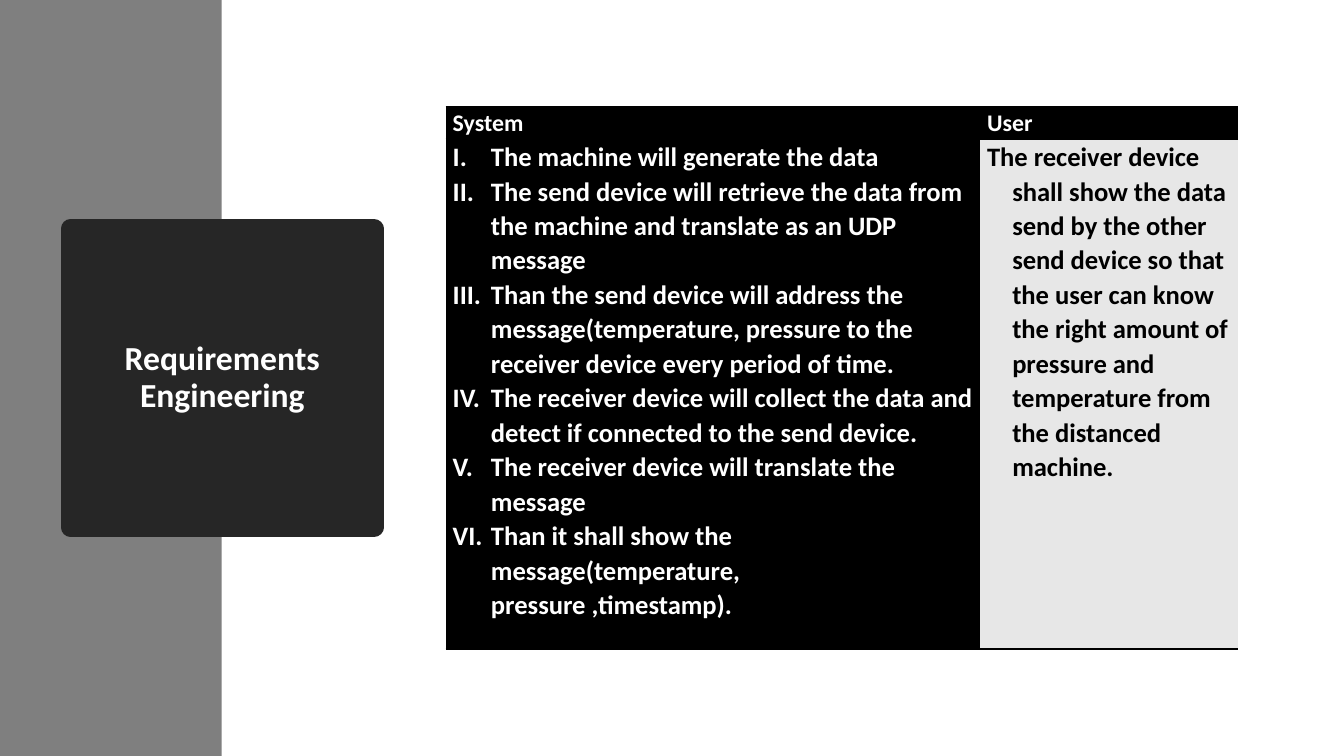
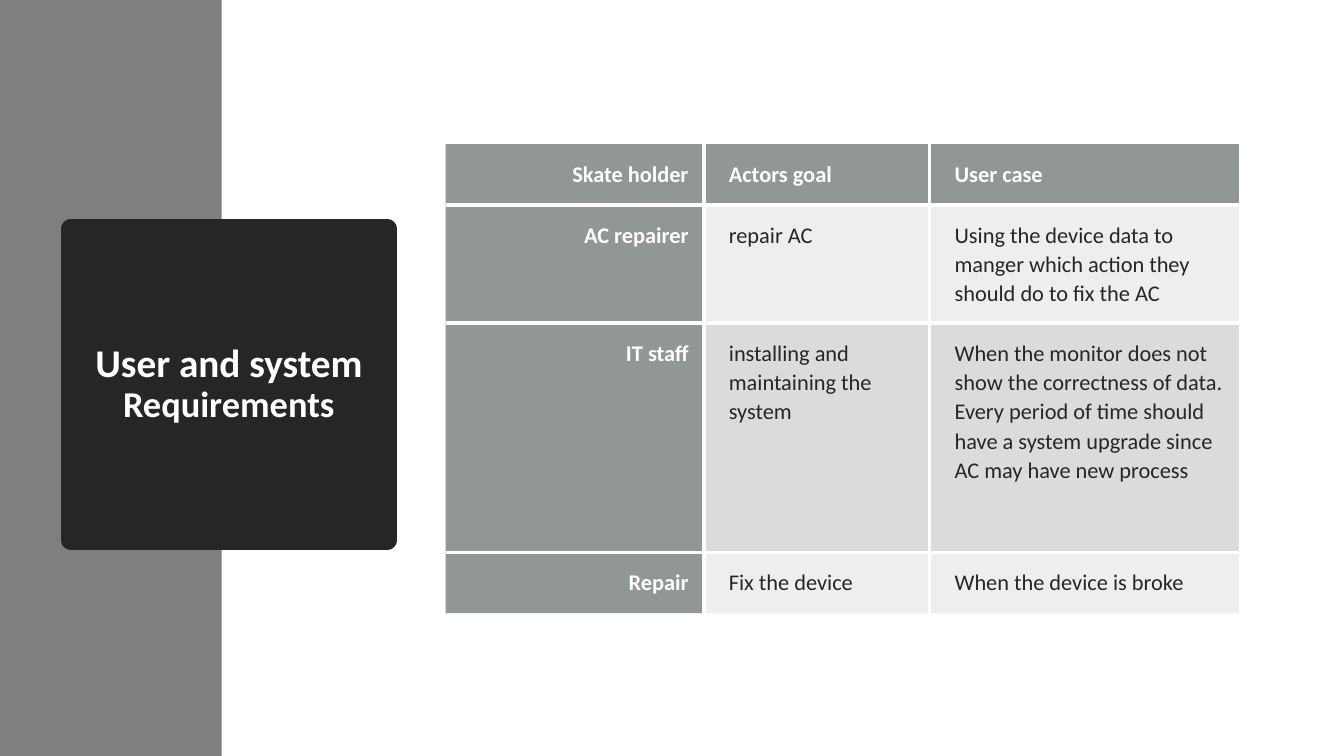
"""Build two slides that set a dark title card beside a table of requirements."""
from dataclasses import dataclass

from lxml.etree import SubElement
from pptx import Presentation
from pptx.dml.color import RGBColor
from pptx.enum.shapes import MSO_SHAPE
from pptx.enum.text import MSO_ANCHOR, PP_ALIGN
from pptx.oxml.ns import qn
from pptx.util import Emu, Inches, Pt

WIDE, HIGH = Inches(13.33), Inches(7.5)
FONT = "Calibri"
WHITE, BLACK, INK = "FFFFFF", "000000", "262626"
BAND, PALE, SLATE, MIST = "7F7F7F", "E7E7E7", "636B68", "878E8B"


@dataclass(frozen=True)
class Card:
    runs: tuple[tuple[str, int], ...]
    wide: float
    high: float


@dataclass(frozen=True)
class Cell:
    lines: tuple[str, ...]
    fill: str
    size: int
    tint: str = WHITE
    bold: bool = True
    alpha: int = 100
    align: PP_ALIGN = PP_ALIGN.LEFT
    hang: float = 0
    count: bool = False


@dataclass(frozen=True)
class Sheet:
    top: float
    cols: tuple[float, ...]
    rows: tuple[float, ...]
    cells: tuple[tuple[Cell, ...], ...]
    pads: tuple[float, float, float, float]
    edge: str
    thick: float
    inner: bool


def across(share: float) -> Emu:
    return Emu(round(WIDE * share / 100))


def down(share: float) -> Emu:
    return Emu(round(HIGH * share / 100))


def hue(code: str) -> RGBColor:
    return RGBColor.from_string(code)


def paint(fill, code: str) -> None:
    fill.solid()
    fill.fore_color.rgb = hue(code)


def write(para, text: str, *, size: float, tint: str = WHITE, bold: bool = True,
          align: PP_ALIGN = PP_ALIGN.LEFT, lead: float = 1.07,
          hang: float = 0, count: bool = False) -> None:
    para.alignment, para.line_spacing = align, lead
    props = para._p.get_or_add_pPr()
    if hang:
        props.set("marL", str(Inches(hang)))
        props.set("indent", str(-Inches(hang)))
    if count:
        SubElement(props, qn("a:buAutoNum"), type="romanUcPeriod")
    for turn, part in enumerate(text.split("\v")):
        if turn:
            para.add_line_break()
        run = para.add_run()
        run.text = part
        run.font.name, run.font.size, run.font.bold = FONT, Pt(size), bold
        run.font.color.rgb = hue(tint)


def block(slide, box: tuple[Emu, Emu, Emu, Emu], code: str):
    shape = slide.shapes.add_shape(MSO_SHAPE.RECTANGLE, *box)
    shape.shadow.inherit = False
    paint(shape.fill, code)
    shape.line.fill.background()
    return shape


def head(slide, card: Card) -> None:
    block(slide, (Emu(0), Emu(0), across(16.5), HIGH), BAND)
    box = (across(5.25), down(30.27), across(card.wide), down(card.high))
    shape = block(slide, box, INK)
    paint(shape.line.fill, INK)
    shape.line.width = Pt(13.75)
    SubElement(shape.line._get_or_add_ln(), qn("a:round"))
    frame = shape.text_frame
    frame.word_wrap, frame.vertical_anchor = True, MSO_ANCHOR.MIDDLE
    for text, size in card.runs:
        write(frame.paragraphs[0], text, size=size, align=PP_ALIGN.CENTER, lead=0.9)


def border(cell, sides: dict[str, bool], code: str, thick: float) -> None:
    props = cell._tc.get_or_add_tcPr()
    for side, shown in sides.items():
        line = SubElement(props, qn(f"a:ln{side}"), w=str(Pt(thick)))
        if shown:
            solid = SubElement(line, qn("a:solidFill"))
            SubElement(solid, qn("a:srgbClr"), val=code)
        else:
            SubElement(line, qn("a:noFill"))


def fit(spot, cell: Cell, pads: tuple[float, float, float, float]) -> None:
    paint(spot.fill, cell.fill)
    if cell.alpha < 100:
        shade = spot._tc.tcPr.find(f"{qn('a:solidFill')}/{qn('a:srgbClr')}")
        SubElement(shade, qn("a:alpha"), val=str(cell.alpha * 1000))
    (spot.margin_left, spot.margin_top,
     spot.margin_right, spot.margin_bottom) = map(Inches, pads)
    frame = spot.text_frame
    for turn, text in enumerate(cell.lines):
        para = frame.add_paragraph() if turn else frame.paragraphs[0]
        write(para, text, size=cell.size, tint=cell.tint, bold=cell.bold,
              align=cell.align, hang=cell.hang, count=cell.count)


def chart(slide, sheet: Sheet) -> None:
    rows, cols = len(sheet.rows), len(sheet.cols)
    table = slide.shapes.add_table(
        rows, cols, across(33.16), down(sheet.top),
        across(sum(sheet.cols)), down(sum(sheet.rows))).table
    for col, share in zip(table.columns, sheet.cols):
        col.width = across(share)
    for row, share in zip(table.rows, sheet.rows):
        row.height = down(share)
    for y, line in enumerate(sheet.cells):
        for x, cell in enumerate(line):
            spot = table.cell(y, x)
            sides = {"L": sheet.inner and x > 0,
                     "R": sheet.inner and x < cols - 1,
                     "T": not sheet.inner or y > 0,
                     "B": not sheet.inner or y < rows - 1}
            border(spot, sides, sheet.edge, sheet.thick)
            fit(spot, cell, sheet.pads)


def label(text: str, align: PP_ALIGN = PP_ALIGN.LEFT) -> Cell:
    return Cell((text,), SLATE, 16, alpha=70, align=align)


def entry(name: str, goal: tuple[str, ...], case: tuple[str, ...],
          alpha: int = 15) -> tuple[Cell, ...]:
    notes = (Cell(text, MIST, 16, INK, False, alpha) for text in (goal, case))
    return (label(name, PP_ALIGN.RIGHT), *notes)


STEPS = (
    "The machine will generate the data",
    "The send device will retrieve the data from the machine and translate as an UDP message",
    "Than the send device will address the message(temperature, pressure to the receiver "
    "device every period of time.",
    "The receiver device will collect the data and detect if connected to the send device.",
    "The receiver device will translate the message",
    "Than it shall show the message(temperature, \vpressure ,timestamp).",
)
NEED = ("The receiver device shall show the data send by the other send device so that "
        "the user can know the right amount of pressure and temperature from the "
        "distanced machine.")

PAGES = (
    (Card((("Requirements Engineering", 24),), 22.58, 39.47),
     Sheet(14.13, (39.76, 19.2), (4.27, 67.47), (
         tuple(Cell((text,), BLACK, 17, hang=0.25) for text in ("System", "User")),
         (Cell(STEPS, BLACK, 19, hang=0.38, count=True),
          Cell((NEED,), PALE, 19, BLACK, hang=0.25)),
     ), (0.07, 0, 0.07, 0), BLACK, 2, False)),
    (Card((("User and system ", 28), ("Requirements", 26)), 23.56, 41.2),
     Sheet(19.07, (19.2, 16.8, 23.03), (8, 15.47, 30.4, 8), (
         (label("Skate holder", PP_ALIGN.RIGHT), label("Actors goal"), label("User case")),
         entry("AC repairer", ("repair AC",),
               ("Using the device data to manger which action they should do to fix the AC",)),
         entry("IT staff", ("installing and maintaining the system",),
               ("When the monitor does not show the correctness of data.",
                "Every period of time should have a system upgrade since AC may have "
                "new process"), 30),
         entry("Repair", ("Fix the device",), ("When the device is broke",)),
     ), (0.25, 0.15, 0.15, 0.15), WHITE, 3, True)),
)


def main() -> None:
    deck = Presentation()
    deck.slide_width, deck.slide_height = WIDE, HIGH
    for card, sheet in PAGES:
        slide = deck.slides.add_slide(deck.slide_layouts[6])
        head(slide, card)
        chart(slide, sheet)
    deck.save("out.pptx")


if __name__ == "__main__":
    main()
